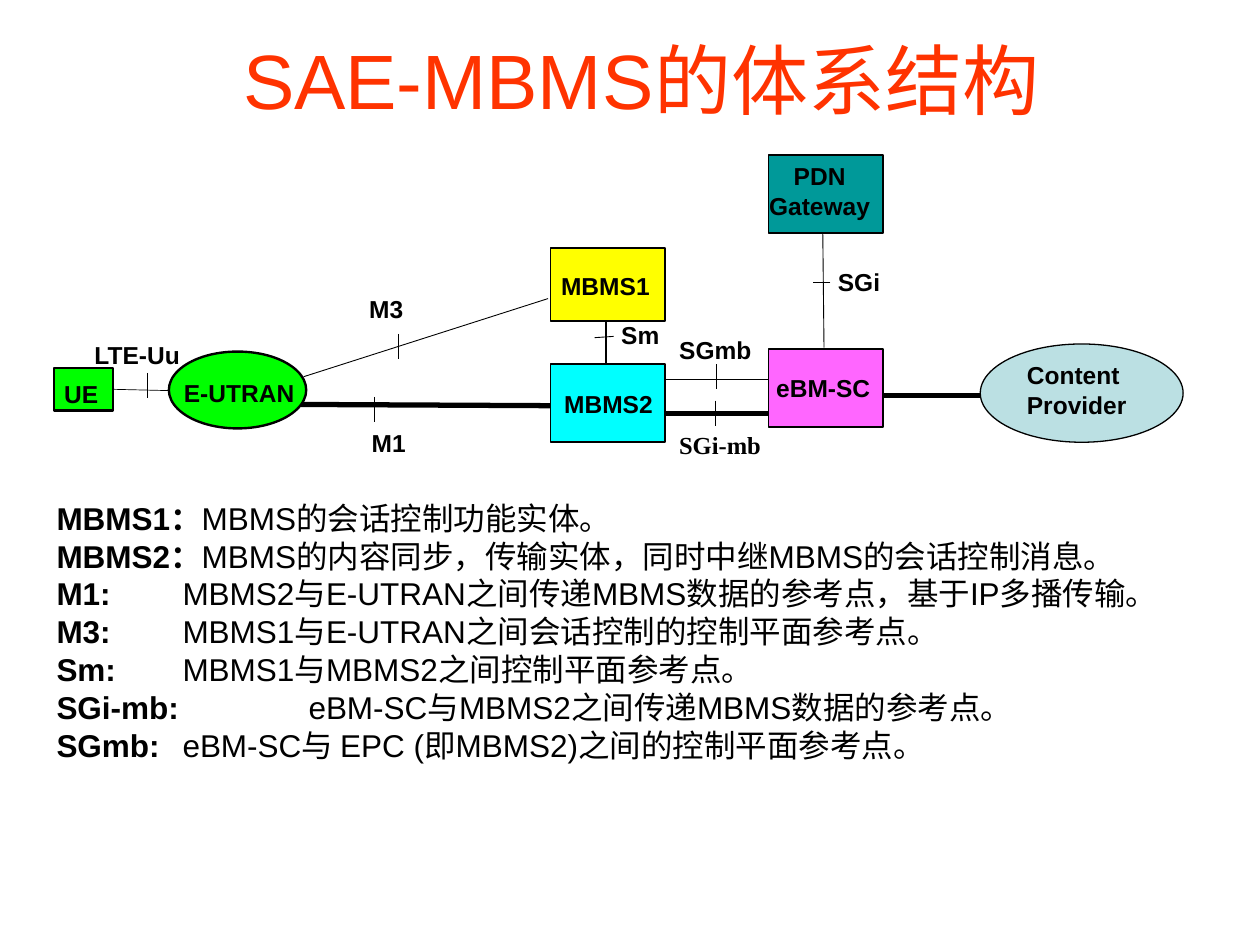
"""Build the SAE-MBMS architecture slide."""
import pptx
import pptx.util
from lxml import etree
from pptx.dml.color import RGBColor
from pptx.enum.shapes import MSO_CONNECTOR, MSO_SHAPE
from pptx.enum.text import MSO_ANCHOR, PP_ALIGN
from pptx.oxml.ns import qn
from pptx.util import Inches, Pt

BLACK = RGBColor(0x00, 0x00, 0x00)
ORANGE = RGBColor(0xFF, 0x33, 0x00)
GREEN = RGBColor(0x00, 0xFF, 0x00)
CYAN = RGBColor(0x00, 0xFF, 0xFF)
YELLOW = RGBColor(0xFF, 0xFF, 0x00)
PINK = RGBColor(0xFF, 0x66, 0xFF)
TEAL = RGBColor(0x00, 0x99, 0x99)
PALE_BLUE = RGBColor(0xBB, 0xE0, 0xE3)

RECTANGLE, OVAL = MSO_SHAPE.RECTANGLE, MSO_SHAPE.OVAL
LEFT, CENTER, JUSTIFY = PP_ALIGN.LEFT, PP_ALIGN.CENTER, PP_ALIGN.JUSTIFY
TICK_LENGTH = 0.2
TAB_COUNT = 8

TITLE = "SAE-MBMS的体系结构"

LINKS = [
    ((7.01, 3.14), (7.82, 3.14), 3),
    ((5.26, 3.28), (6.11, 3.28), 3),
    ((4.37, 3.22), (2.39, 3.21), 3),
    ((0.9, 3.09), (1.34, 3.1), 0.4),
    ((4.35, 2.37), (2.41, 2.99), 0.5),
    ((6.53, 1.84), (6.54, 2.76), 0.5),
    ((4.81, 2.55), (4.81, 2.89), 0.75),
    ((5.27, 3.01), (6.1, 3.01), 0.4),
    ((6.59, 2.24), (6.45, 2.24), 0.5),
    ((4.87, 2.67), (4.72, 2.68), 0.5),
]

VERTICAL_TICKS = [(3.16, 2.65), (1.17, 2.96), (5.68, 3.18), (5.69, 2.89), (2.97, 3.15)]

NODES = [
    (OVAL, (7.78, 2.73, 1.61, 0.78), PALE_BLUE, 0.75),
    (RECTANGLE, (0.43, 2.92, 0.47, 0.34), GREEN, 1.36),
    (OVAL, (1.34, 2.79, 1.09, 0.61), GREEN, 1.36),
    (RECTANGLE, (4.37, 2.89, 0.91, 0.62), CYAN, 1),
    (RECTANGLE, (6.1, 2.77, 0.91, 0.62), PINK, 1),
    (RECTANGLE, (6.1, 1.23, 0.91, 0.62), TEAL, 1),
    (RECTANGLE, (4.37, 1.97, 0.91, 0.58), YELLOW, 1),
]

LABELS = [
    ("UE", (0.51, 3.01, 0.34, 0.32), LEFT, "Arial"),
    ("LTE-Uu", (0.75, 2.7, 0.84, 0.24), LEFT, "Arial"),
    ("E-UTRAN", (1.46, 3, 0.93, 0.25), LEFT, "Arial"),
    ("SGi-mb", (5.39, 3.41, 0.8, 0.33), JUSTIFY, "Times New Roman"),
    ("MBMS2", (4.46, 3.09, 0.74, 0.21), CENTER, "Arial"),
    ("eBM-SC", (6.16, 2.96, 0.89, 0.37), LEFT, "Arial"),
    ("M3", (2.93, 2.33, 0.35, 0.22), LEFT, "Arial"),
    ("Content Provider", (8.15, 2.86, 1.02, 0.63), LEFT, "Arial"),
    ("SGmb", (5.39, 2.66, 0.69, 0.19), LEFT, "Arial"),
    ("M1", (2.95, 3.4, 0.35, 0.22), LEFT, "Arial"),
    ("PDN\vGateway", (6.1, 1.28, 0.81, 0.55), CENTER, "Arial"),
    ("SGi", (6.65, 2.12, 0.4, 0.34), LEFT, "Arial"),
    ("MBMS1", (4.38, 2.15, 0.85, 0.24), CENTER, "Arial"),
    ("Sm", (4.93, 2.54, 0.39, 0.23), LEFT, "Arial"),
]

DEFINITIONS = [
    ("MBMS1：", "MBMS的会话控制功能实体。"),
    ("MBMS2：", "MBMS的内容同步，传输实体，同时中继MBMS的会话控制消息。"),
    ("M1: \t", "MBMS2与E-UTRAN之间传递MBMS数据的参考点，基于IP多播传输。"),
    ("M3: \t", "MBMS1与E-UTRAN之间会话控制的控制平面参考点。"),
    ("Sm: \t", "MBMS1与MBMS2之间控制平面参考点。"),
    ("SGi-mb: \t", "eBM-SC与MBMS2之间传递MBMS数据的参考点。"),
    ("SGmb:\t", "eBM-SC与 EPC (即MBMS2)之间的控制平面参考点。"),
]


def style_run(run, size, color=BLACK, bold=False, name="Arial"):
    """Set the font of one run."""
    run.font.size = Pt(size)
    run.font.color.rgb = color
    run.font.bold = bold
    run.font.name = name


def add_text_frame(slide, box, anchor=MSO_ANCHOR.TOP, margins=(0.1, 0.05)):
    """Add a wrapping text box and return its text frame."""
    frame = slide.shapes.add_textbox(*map(Inches, box)).text_frame
    frame.word_wrap = True
    frame.vertical_anchor = anchor
    frame.margin_left = frame.margin_right = Inches(margins[0])
    frame.margin_top = frame.margin_bottom = Inches(margins[1])
    return frame


def add_label(slide, text, box, alignment, name):
    """Add one bold diagram label."""
    frame = add_text_frame(slide, box, margins=(0, 0))
    frame.text = text
    paragraph = frame.paragraphs[0]
    paragraph.alignment = alignment
    for run in paragraph.runs:
        style_run(run, 14, bold=True, name=name)


def add_line(slide, start, end, width):
    """Add a plain black straight line."""
    line = slide.shapes.add_connector(
        MSO_CONNECTOR.STRAIGHT, *map(Inches, (*start, *end)))
    line.line.color.rgb = BLACK
    line.line.width = Pt(width)
    etree.SubElement(line.element.spPr, qn("a:effectLst"))


def add_node(slide, kind, box, fill, width):
    """Add one outlined network node."""
    shape = slide.shapes.add_shape(kind, *map(Inches, box))
    shape.shadow.inherit = False
    shape.fill.solid()
    shape.fill.fore_color.rgb = fill
    shape.line.color.rgb = BLACK
    shape.line.width = Pt(width)


def set_tabs_and_wrapping(paragraph):
    """Put a left tab stop at every inch and keep punctuation inside the margin."""
    properties = paragraph._p.get_or_add_pPr()
    properties.set("hangingPunct", "0")
    tab_list = etree.SubElement(properties, qn("a:tabLst"))
    for inch in range(TAB_COUNT):
        etree.SubElement(tab_list, qn("a:tab"), pos=str(Inches(inch)), algn="l")


def add_definitions(slide):
    """Add the list of terms and their meanings."""
    frame = add_text_frame(slide, (0.35, 3.91, 9.29, 2.2), MSO_ANCHOR.MIDDLE)
    for index, (term, meaning) in enumerate(DEFINITIONS):
        paragraph = frame.add_paragraph() if index else frame.paragraphs[0]
        set_tabs_and_wrapping(paragraph)
        for text, bold in ((term, True), (meaning, False)):
            run = paragraph.add_run()
            run.text = text
            style_run(run, 18, bold=bold)


def main():
    """Build and save the presentation."""
    presentation = pptx.Presentation()
    presentation.slide_width, presentation.slide_height = Inches(10), Inches(7.5)
    slide = presentation.slides.add_slide(presentation.slide_layouts[6])

    title = add_text_frame(slide, (0.59, 0, 9, 1.25), MSO_ANCHOR.MIDDLE)
    title.text = TITLE
    title.paragraphs[0].alignment = CENTER
    style_run(title.paragraphs[0].runs[0], 44, ORANGE)

    for link in LINKS:
        add_line(slide, *link)
    for x, top in VERTICAL_TICKS:
        add_line(slide, (x, top), (x, top + TICK_LENGTH), 0.5)
    for node in NODES:
        add_node(slide, *node)
    for label in LABELS:
        add_label(slide, *label)
    add_definitions(slide)
    presentation.save("out.pptx")


if __name__ == "__main__":
    main()
